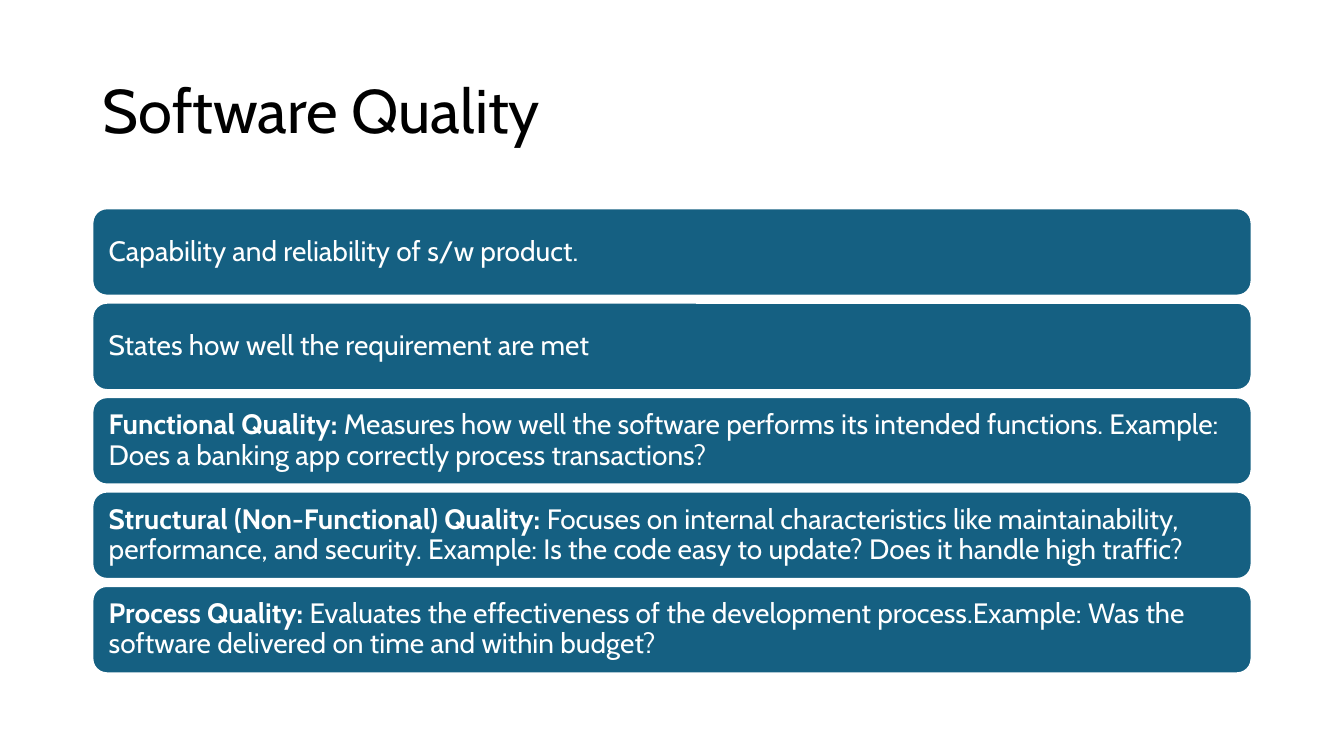
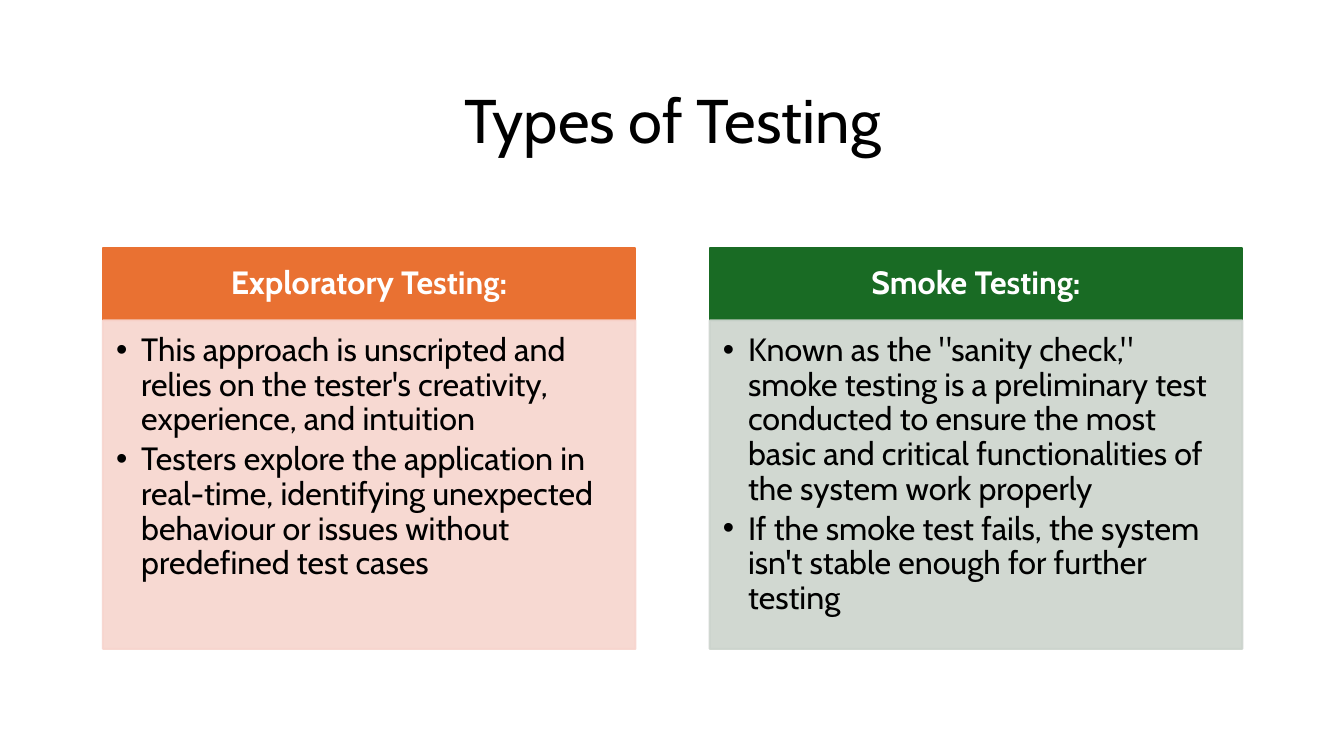
import pptx
import pptx.dml.color
import pptx.enum.shapes
import pptx.enum.text
import pptx.oxml.ns
import pptx.util
from lxml import etree

HUES = {
    "ink": "000000", "paper": "FFFFFF", "blue": "156082",
    "orange": "E97132", "blush": "F7D5CE",
    "green": "196B24", "sage": "CCD4CD",
}
FONT = "Cabin"
COLS, ROWS = 160, 90  # square grid over the slide

ALIGN = pptx.enum.text.PP_ALIGN
ANCHOR = pptx.enum.text.MSO_ANCHOR


def hue(name):
    return pptx.dml.color.RGBColor.from_string(HUES[name])


def add_tag(parent, tag, **attrs):
    etree.SubElement(parent, pptx.oxml.ns.qn(tag), attrs)


class Deck:
    def __init__(self):
        self.prs = pptx.Presentation()
        self.prs.slide_width = pptx.util.Inches(13.333)
        self.prs.slide_height = pptx.util.Inches(7.5)
        self.slide = None

    def start(self, layout):
        self.slide = self.prs.slides.add_slide(self.prs.slide_layouts[layout])

    def area(self, col, row, wide, high):
        """Turn grid columns and rows into slide lengths."""
        x, y = self.prs.slide_width / COLS, self.prs.slide_height / ROWS
        return [round(n) for n in (col * x, row * y, wide * x, high * y)]

    def place(self, shape, area):
        shape.left, shape.top, shape.width, shape.height = self.area(*area)

    def paint(self, shape, fill, line, alpha=None):
        shape.fill.solid()
        shape.fill.fore_color.rgb = hue(fill)
        shape.line.color.rgb = hue(line)
        shape.line.width = pptx.util.Pt(1.5)
        if alpha:
            for tone in shape._element.spPr.iter(pptx.oxml.ns.qn("a:srgbClr")):
                add_tag(tone, "a:alpha", val=str(alpha * 1000))

    def frame(self, shape, anchor, pads):
        box = shape.text_frame
        box.word_wrap = True
        box.auto_size = pptx.enum.text.MSO_AUTO_SIZE.NONE
        box.vertical_anchor = anchor
        (box.margin_left, box.margin_top,
         box.margin_right, box.margin_bottom) = map(pptx.util.Inches, pads)
        return box

    def style(self, para, size, color, align=ALIGN.LEFT, after=0):
        para.alignment = align
        para.line_spacing = 0.9
        para.space_before = pptx.util.Pt(0)
        para.space_after = pptx.util.Pt(after)
        for run in para.runs:
            run.font.name = FONT
            run.font.size = pptx.util.Pt(size)
            run.font.color.rgb = hue(color)

    def title(self, text, area, align):
        shape = self.slide.shapes.title
        self.place(shape, area)
        box = self.frame(shape, ANCHOR.MIDDLE, (0.1, 0.05, 0.1, 0.05))
        box.text = text
        self.style(box.paragraphs[0], 44, "ink", align)

    def bar(self, lead, text, area):
        kind = pptx.enum.shapes.MSO_SHAPE.ROUNDED_RECTANGLE
        shape = self.slide.shapes.add_shape(kind, *self.area(*area))
        shape.shadow.inherit = False
        self.paint(shape, "blue", "paper")
        box = self.frame(shape, ANCHOR.MIDDLE, (0.12,) * 4)
        para = box.paragraphs[0]
        for part, bold in ((lead, True), (text, False)):
            if part:
                run = para.add_run()
                run.text = part
                run.font.bold = bold
        self.style(para, 20, "paper")

    def head(self, slot, text, area, color):
        shape = self.slide.placeholders[slot]
        self.place(shape, area)
        self.paint(shape, color, color)
        box = self.frame(shape, ANCHOR.MIDDLE, (0.18, 0.1, 0.18, 0.1))
        box.text = text
        para = box.paragraphs[0]
        self.style(para, 23, "paper", ALIGN.CENTER)
        para.runs[0].font.bold = True

    def points(self, slot, items, area, color):
        shape = self.slide.placeholders[slot]
        self.place(shape, area)
        self.paint(shape, color, color, alpha=90)
        box = self.frame(shape, ANCHOR.TOP, (0.13, 0.13, 0.18, 0.2))
        box.text = "\n".join(items)
        hang = pptx.util.Inches(0.25)
        for para in box.paragraphs:
            props = para._p.get_or_add_pPr()
            props.set("marL", str(hang))
            props.set("indent", str(-hang))
            add_tag(props, "a:buChar", char="•")
            self.style(para, 23, "ink", after=3.45)


BARS = [
    ("", "Capability and reliability of s/w product."),
    ("", "States how well the requirement are met"),
    ("Functional Quality: ",
     "Measures how well the software performs its intended functions. "
     "Example: Does a banking app correctly process transactions?"),
    ("Structural (Non-Functional) Quality: ",
     "Focuses on internal characteristics like maintainability, performance, "
     "and security. Example: Is the code easy to update? "
     "Does it handle high traffic?"),
    ("Process Quality: ",
     "Evaluates the effectiveness of the development process."
     "Example: Was the software delivered on time and within budget?"),
]

TESTS = [
    ("Exploratory Testing:", "orange", "blush", [
        "This approach is unscripted and relies on the tester's creativity, "
        "experience, and intuition",
        "Testers explore the application in real-time, identifying unexpected "
        "behaviour or issues without predefined test cases"]),
    ("Smoke Testing:", "green", "sage", [
        'Known as the "sanity check," smoke testing is a preliminary test '
        "conducted to ensure the most basic and critical functionalities of "
        "the system work properly",
        "If the smoke test fails, the system isn't stable enough for further "
        "testing"]),
]


def main():
    deck = Deck()

    # Software quality: a stack of equal bars
    deck.start(5)
    deck.title("Software Quality", (11, 4.8, 138, 17.4), ALIGN.LEFT)
    for i, (lead, text) in enumerate(BARS):
        deck.bar(lead, text, (11, 24.8 + i * 11.24, 138, 10.4))

    # Types of testing: two headed lists
    deck.start(4)
    deck.title("Types of Testing", (20, 7.2, 120.25, 14.9), ALIGN.CENTER)
    for i, (name, dark, light, items) in enumerate(TESTS):
        col = 12.25 + i * 72.25
        deck.head(1 + 2 * i, name, (col, 29.5, 63.4, 8.65), dark)
        deck.points(2 + 2 * i, items, (col, 38.15, 63.4, 39.1), light)

    deck.prs.save("out.pptx")


if __name__ == "__main__":
    main()
